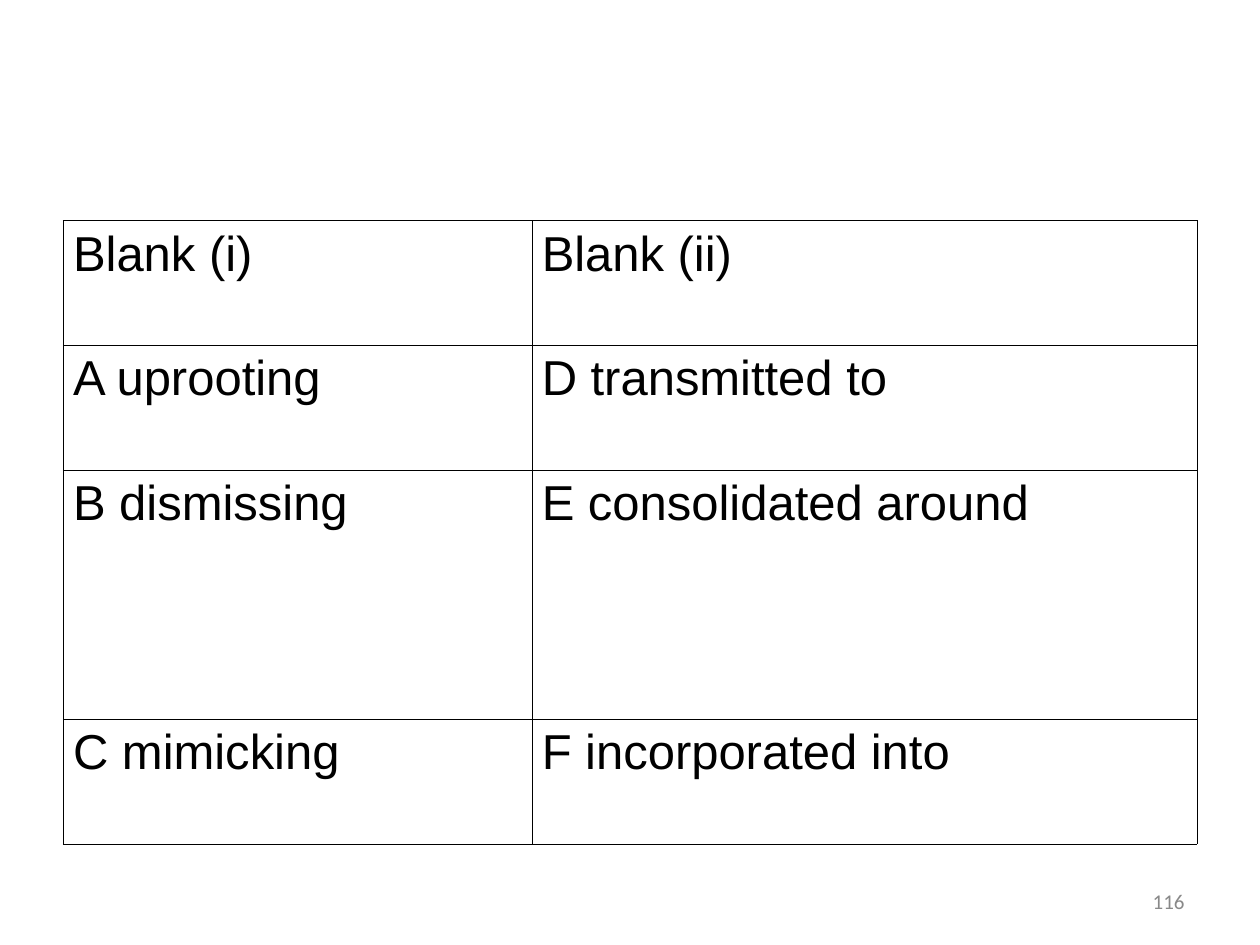
from typing import NamedTuple

import lxml.etree
import pptx
import pptx.dml.color
import pptx.enum.text
import pptx.oxml.ns
import pptx.slide
import pptx.table
import pptx.text.text
import pptx.util
from pptx.util import Inches

COLORS = {"background": "FFFFFF", "text": "000000", "border": "000000", "page_number": "898989"}
BORDER_WIDTH = pptx.util.Pt(0.11)
COLUMN_WIDTHS = (3.72, 5.28)
ROW_UNIT = 0.99


class AnswerRow(NamedTuple):
    first_blank: str
    second_blank: str
    height_units: int = 1


ANSWER_ROWS = (
    AnswerRow("Blank (i)", "Blank (ii)"),
    AnswerRow("A uprooting", "D transmitted to"),
    AnswerRow("B dismissing", "E consolidated around", 2),
    AnswerRow("C mimicking", "F incorporated into"),
)


def color(name: str) -> pptx.dml.color.RGBColor:
    return pptx.dml.color.RGBColor.from_string(COLORS[name])


def style_paragraph(
    paragraph: pptx.text.text._Paragraph,
    font_name: str,
    size: float,
    color_name: str,
    alignment: pptx.enum.text.PP_ALIGN,
) -> None:
    paragraph.alignment = alignment
    paragraph.font.name = font_name
    paragraph.font.size = pptx.util.Pt(size)
    paragraph.font.color.rgb = color(color_name)


def add_cell_borders(cell: pptx.table._Cell) -> None:
    """Outline all four sides; call before setting the fill, which must follow them."""
    properties = cell._tc.get_or_add_tcPr()
    qualified = pptx.oxml.ns.qn
    for side in ("a:lnL", "a:lnR", "a:lnT", "a:lnB"):
        line = lxml.etree.SubElement(properties, qualified(side), w=str(int(BORDER_WIDTH)))
        fill = lxml.etree.SubElement(line, qualified("a:solidFill"))
        lxml.etree.SubElement(fill, qualified("a:srgbClr"), val=COLORS["border"])


def fill_cell(cell: pptx.table._Cell, text: str) -> None:
    cell.text = text
    cell.margin_left = cell.margin_right = Inches(0.08)
    cell.margin_top = cell.margin_bottom = Inches(0.05)
    style_paragraph(
        cell.text_frame.paragraphs[0], "Arial", 28, "text", pptx.enum.text.PP_ALIGN.JUSTIFY
    )
    add_cell_borders(cell)
    cell.fill.background()


def add_answer_table(slide: pptx.slide.Slide) -> None:
    height = ROW_UNIT * sum(row.height_units for row in ANSWER_ROWS)
    table = slide.shapes.add_table(
        len(ANSWER_ROWS), len(COLUMN_WIDTHS),
        Inches(0.5), Inches(1.75), Inches(sum(COLUMN_WIDTHS)), Inches(height),
    ).table
    table.first_row = table.horz_banding = False
    for column, width in zip(table.columns, COLUMN_WIDTHS):
        column.width = Inches(width)
    for row, answers in zip(table.rows, ANSWER_ROWS):
        row.height = Inches(ROW_UNIT * answers.height_units)
        for cell, text in zip(row.cells, (answers.first_blank, answers.second_blank)):
            fill_cell(cell, text)


def add_page_number(slide: pptx.slide.Slide, number: str) -> None:
    text_box = slide.shapes.add_textbox(Inches(7.17), Inches(6.95), Inches(2.33), Inches(0.4))
    frame = text_box.text_frame
    frame.word_wrap = True
    frame.vertical_anchor = pptx.enum.text.MSO_ANCHOR.MIDDLE
    frame.text = number
    style_paragraph(
        frame.paragraphs[0], "Calibri", 12, "page_number", pptx.enum.text.PP_ALIGN.RIGHT
    )


def main() -> None:
    presentation = pptx.Presentation()
    presentation.slide_width = Inches(10)
    presentation.slide_height = Inches(7.5)
    slide = presentation.slides.add_slide(presentation.slide_layouts[6])
    slide.background.fill.solid()
    slide.background.fill.fore_color.rgb = color("background")
    add_page_number(slide, "116")
    add_answer_table(slide)
    presentation.save("out.pptx")


if __name__ == "__main__":
    main()
